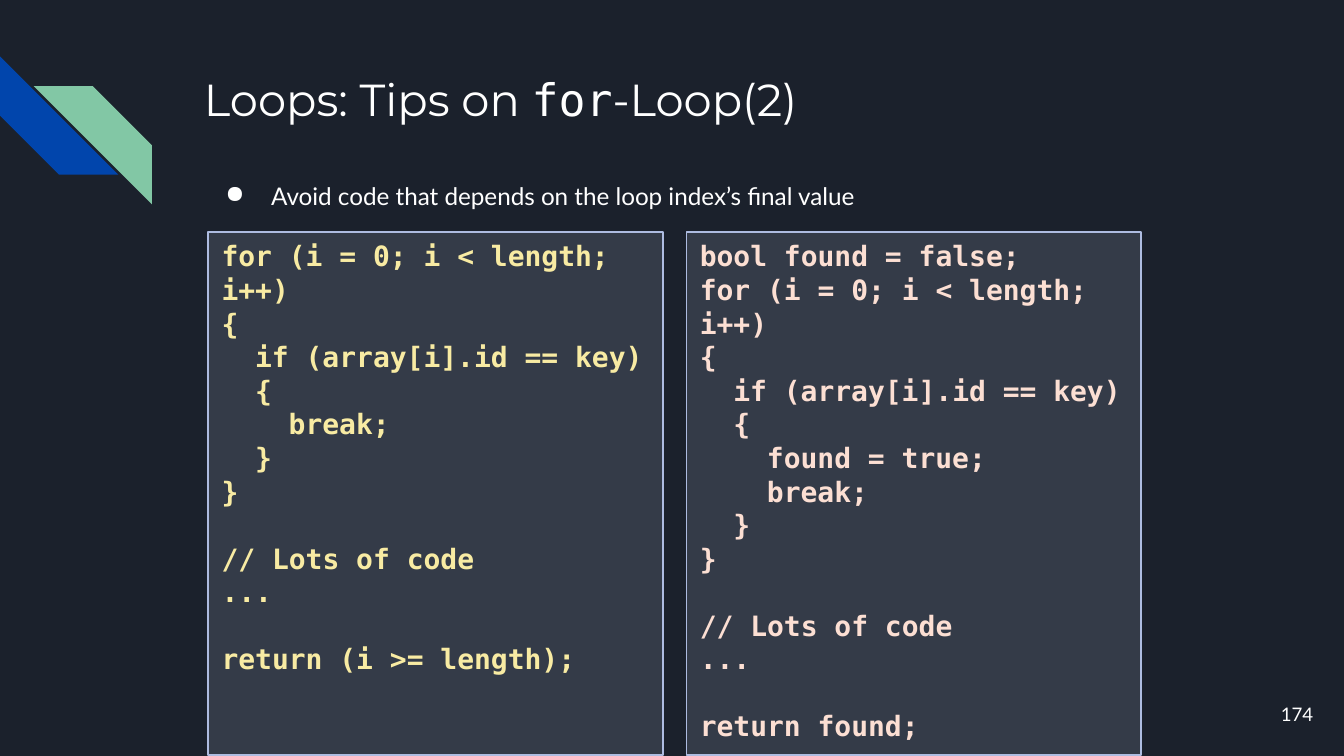
import pptx
import pptx.util
import pptx.dml.color
import pptx.enum.shapes
import pptx.enum.text
import lxml.etree

Pt = pptx.util.Pt
ANCHOR = pptx.enum.text.MSO_ANCHOR
ALIGN = pptx.enum.text.PP_ALIGN
SHAPE = pptx.enum.shapes.MSO_SHAPE

MONO, SANS, DISPLAY = "DejaVu Sans Mono", "Lato", "Montserrat"
WHITE = "FFFFFF"
TITLE = [("Loops: Tips on ", DISPLAY), ("for", MONO), ("-Loop(2)", DISPLAY)]
TIP = "Avoid code that depends on the loop index’s final value"
PAGE_NUMBER = "174"

# Each code line: (nesting level, text, whether a gap precedes it)
INDEX_CODE = [
    (0, "for (i = 0; i < length; i++)", False),
    (0, "{", False),
    (1, "if (array[i].id == key)", False),
    (1, "{", False),
    (2, "break;", False),
    (1, "}", False),
    (0, "}", False),
    (0, "// Lots of code", True),
    (0, "...", False),
    (0, "return (i >= length);", True),
]
FLAG_CODE = [
    (0, "bool found = false;", False),
    *INDEX_CODE[:4],
    (2, "found = true;", False),
    *INDEX_CODE[4:-1],
    (0, "return found;", True),
]
PANELS = [(INDEX_CODE, "F8EBA3"), (FLAG_CODE, "FCDFD3")]
PANEL_LEFT, PANEL_TOP, PANEL_WIDTH, PANEL_HEIGHT, PANEL_GAP = 111.6, 124.5, 243.4, 280.1, 12.8
CODE_SIZE, CODE_LINE, CODE_INDENT = 15, 17.9, 18

STRIPE_SIZE = 63.4
STRIPES = [(0, 30.2, "0145AC", 270, False), (18, 46.1, "82C7A5", 0, True)]


def color(value):
    return pptx.dml.color.RGBColor.from_string(value)


def add_run(paragraph, text, font, size, value, bold=False):
    run = paragraph.add_run()
    run.text = text
    run.font.name = font
    run.font.size = Pt(size)
    run.font.bold = bold
    run.font.color.rgb = color(value)


def add_text_box(slide, left, top, width, height, anchor=ANCHOR.TOP):
    frame = slide.shapes.add_textbox(Pt(left), Pt(top), Pt(width), Pt(height)).text_frame
    frame.word_wrap = True
    frame.vertical_anchor = anchor
    frame.margin_left = frame.margin_right = frame.margin_top = frame.margin_bottom = Pt(7.2)
    return frame.paragraphs[0]


def add_filled_shape(slide, kind, left, top, width, height, fill):
    shape = slide.shapes.add_shape(kind, Pt(left), Pt(top), Pt(width), Pt(height))
    shape.shadow.inherit = False
    shape.fill.solid()
    shape.fill.fore_color.rgb = color(fill)
    shape.line.fill.background()
    return shape


def add_sub(parent, tag, **attributes):
    return lxml.etree.SubElement(parent, pptx.oxml.ns.qn(tag), attributes)


def add_bullet(paragraph, symbol, value):
    properties = paragraph._p.get_or_add_pPr()
    properties.set("marL", str(Pt(36)))
    properties.set("indent", str(Pt(-24.5)))
    add_sub(add_sub(properties, "a:buClr"), "a:srgbClr", val=value)
    add_sub(properties, "a:buChar", char=symbol)


def add_code_panel(slide, left, lines, value):
    panel = add_filled_shape(
        slide, SHAPE.RECTANGLE, left, PANEL_TOP, PANEL_WIDTH, PANEL_HEIGHT, "C9D3EB")
    fill_color = panel._element.spPr.find(".//" + pptx.oxml.ns.qn("a:srgbClr"))
    add_sub(fill_color, "a:alpha", val="15000")
    panel.line.color.rgb = color("AEBCE1")
    panel.line.width = Pt(1)
    frame = panel.text_frame
    frame.word_wrap = True
    frame.vertical_anchor = ANCHOR.TOP
    for index, (level, text, gap) in enumerate(lines):
        paragraph = frame.add_paragraph() if index else frame.paragraphs[0]
        paragraph.alignment = ALIGN.LEFT
        paragraph.space_before = Pt(CODE_LINE if gap else 0)
        paragraph._p.get_or_add_pPr().set("marL", str(Pt(level * CODE_INDENT)))
        add_run(paragraph, text, MONO, CODE_SIZE, value, bold=True)


def main():
    presentation = pptx.Presentation()
    presentation.slide_width, presentation.slide_height = Pt(720), Pt(405)
    slide = presentation.slides.add_slide(presentation.slide_layouts[6])
    slide.background.fill.solid()
    slide.background.fill.fore_color.rgb = color("1B212C")

    for left, top, fill, rotation, flipped in STRIPES:
        stripe = add_filled_shape(
            slide, SHAPE.DIAGONAL_STRIPE, left, top, STRIPE_SIZE, STRIPE_SIZE, fill)
        stripe.rotation = rotation
        if flipped:
            stripe._element.spPr.xfrm.set("flipH", "1")

    title = add_text_box(slide, 102.2, 31, 554.4, 72)
    for text, font in TITLE:
        add_run(title, text, font, 24, WHITE)

    tip = add_text_box(slide, 102.2, 87.8, 554.4, 264.2)
    tip.line_spacing = 1.15
    add_bullet(tip, "●", WHITE)
    add_run(tip, TIP, SANS, 13, WHITE)

    number = add_text_box(slide, 667.4, 367.2, 43.2, 31, ANCHOR.MIDDLE)
    number.alignment = ALIGN.RIGHT
    add_run(number, PAGE_NUMBER, SANS, 10, WHITE)

    for index, (lines, value) in enumerate(PANELS):
        add_code_panel(slide, PANEL_LEFT + index * (PANEL_WIDTH + PANEL_GAP), lines, value)

    presentation.save("out.pptx")


if __name__ == "__main__":
    main()
